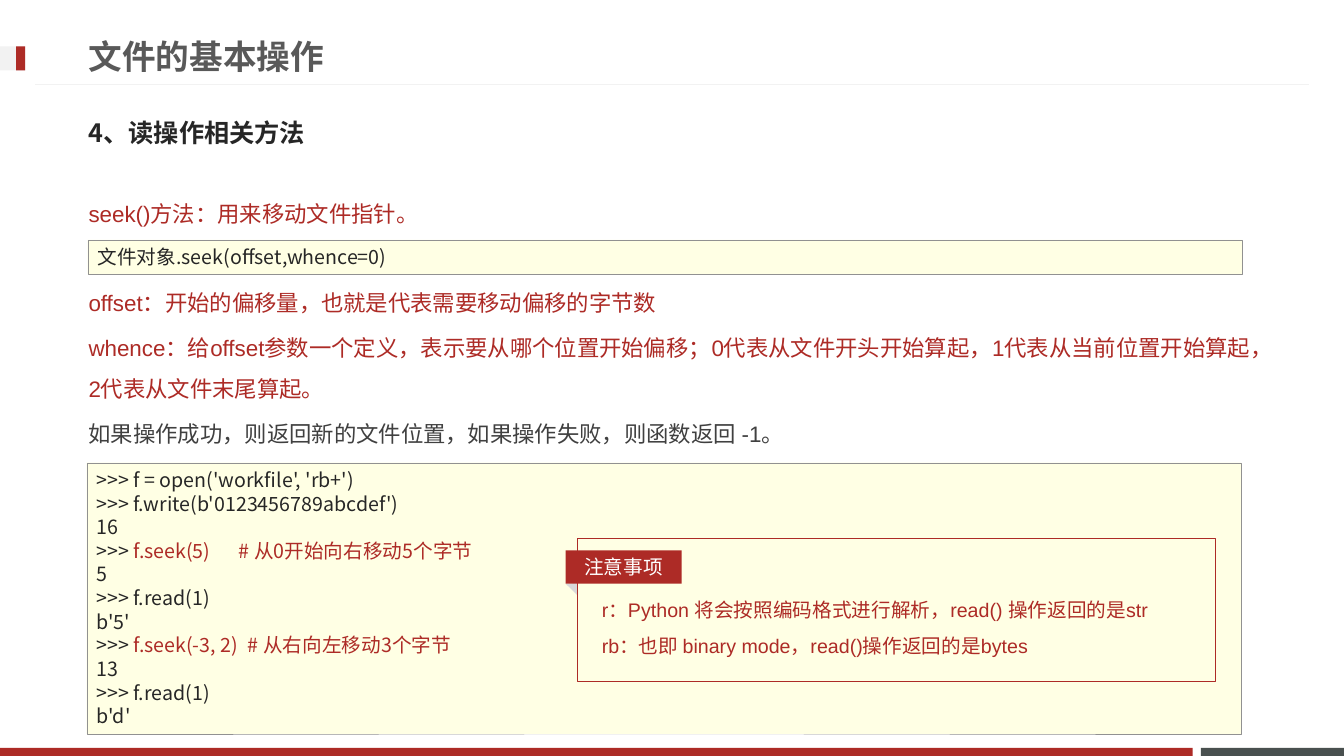
from lxml import etree
from pptx import Presentation, util as u
from pptx.dml.color import RGBColor
from pptx.enum import shapes, text
from pptx.oxml.ns import qn

# Content: a paragraph is a list of (text, colour) runs
TITLE = "文件的基本操作"
HEADING = "4、读操作相关方法"
BODY = [
    [("seek()方法：用来移动文件指针。", "red")],
    [("offset：开始的偏移量，也就是代表需要移动偏移的字节数", "red")],
    [("whence：给offset参数一个定义，表示要从哪个位置开始偏移；0代表从文件开头开始算起，"
      "1代表从当前位置开始算起，2代表从文件末尾算起。", "red")],
    [("如果操作成功，则返回新的文件位置，如果操作失败，则函数返回 -1。", "grey")],
]
SYNTAX = [[("文件对象.seek(offset,whence=0)", "dark")]]
SESSION = [
    [(">>> f = open('workfile', 'rb+')", "dark")],
    [(">>> f.write(b'0123456789abcdef')", "dark")],
    [("16", "dark")],
    [(">>> ", "dark"), ("f.seek(5)\t# 从0开始向右移动5个字节", "red")],
    [("5", "dark")],
    [(">>> f.read(1)", "dark")],
    [("b'5'", "dark")],
    [(">>> ", "dark"), ("f.seek(-3, 2)\t# 从右向左移动3个字节", "red")],
    [("13", "dark")],
    [(">>> f.read(1)", "dark")],
    [("b'd'", "dark")],
]
COMMENT_STOPS = {3: 1.41, 7: 1.5}  # paragraph: tab position of its comment
NOTE_LABEL = "注意事项"
NOTES = [
    [("r：Python 将会按照编码格式进行解析，read() 操作返回的是str", "red")],
    [("rb：也即 binary mode，read()操作返回的是bytes", "red")],
]

THEME = {
    "colors": {"red": "AD2B26", "slate": "49504F", "pale": "F2F2F2", "title": "595959",
               "dark": "262626", "grey": "404040", "code": "FFFFE4", "edge": "919191",
               "fold": "D9D9D9", "white": "FFFFFF"},
    "sans": "Arial", "cjk": "Noto Sans CJK JP",
    "title": 24, "heading": 18, "body": 16, "small": 14,
}
CODE_PITCH = u.Pt(16.9)
RECT = shapes.MSO_SHAPE.RECTANGLE

prs = Presentation()
prs.slide_width, prs.slide_height = u.Inches(13.33), u.Inches(7.5)
s = prs.slides.add_slide(prs.slide_layouts[5])


def rgb(name):
    return RGBColor.from_string(THEME["colors"][name])


def put(obj, **values):
    for name, value in values.items():
        setattr(obj, name, value)


def add_box(at, fill=None, line=None, width=0.75, kind=RECT):
    sp = s.shapes.add_shape(kind, *map(u.Inches, at))
    sp.shadow.inherit = False
    if fill:
        sp.fill.solid()
        sp.fill.fore_color.rgb = rgb(fill)
    else:
        sp.fill.background()
    if line:
        sp.line.color.rgb = rgb(line)
        sp.line.width = u.Pt(width)
    else:
        sp.line.fill.background()
    return sp


def write(sp, paragraphs, size, font="sans", bold=False, anchor="TOP", **para):
    tf = sp.text_frame
    put(tf, word_wrap=True, auto_size=text.MSO_AUTO_SIZE.NONE,
        vertical_anchor=text.MSO_ANCHOR[anchor])
    style = {"alignment": text.PP_ALIGN.LEFT, **para}
    for i, runs in enumerate(paragraphs):
        p = tf.paragraphs[0] if i == 0 else tf.add_paragraph()
        put(p, **style)
        for words, color in runs:
            r = p.add_run()
            r.text = words
            put(r.font, size=u.Pt(THEME[size]), bold=bold, name=THEME[font])
            r.font.color.rgb = rgb(color)
            ea = etree.SubElement(r.font._element, qn("a:ea"))
            ea.set("typeface", THEME["cjk"])
    return tf


def add_text(at, *args, **kwargs):
    return write(s.shapes.add_textbox(*map(u.Inches, at)), *args, **kwargs)


# Footer bars, header rule and marker
add_box((11.91, 7.42, 1.42, 0.08), "slate")
add_box((0, 7.42, 11.83, 0.08), "red")
rule = s.shapes.add_connector(shapes.MSO_CONNECTOR.STRAIGHT,
                              *map(u.Inches, (12.98, 0.84, 0.35, 0.84)))
rule.line.color.rgb = rgb("pale")
rule.line.width = u.Pt(0.75)
etree.SubElement(rule._element.spPr, qn("a:effectLst"))
add_box((0, 0.46, 0.25, 0.24), "pale")
add_box((0.16, 0.46, 0.09, 0.24), "red")

# Title, heading and explanation
title = s.shapes.title
put(title, left=u.Inches(0.78), top=u.Inches(0.27),
    width=u.Inches(9.59), height=u.Inches(0.57))
write(title, [[(TITLE, "title")]], "title", bold=True, anchor="MIDDLE")
add_text((0.78, 1.03, 11.76, 0.57), [[(HEADING, "dark")]], "heading",
         font="cjk", bold=True, anchor="MIDDLE")
body = add_text((0.78, 1.8, 11.76, 4.61), BODY, "body",
                line_spacing=1.5, space_before=u.Pt(3.6))
body.paragraphs[1].space_before = u.Pt(35)  # room for the syntax box

# Code boxes
write(add_box((0.87, 2.38, 11.45, 0.34), "code", "edge", 0.25), SYNTAX, "small",
      font="cjk", line_spacing=CODE_PITCH)
session = write(add_box((0.86, 4.59, 11.45, 2.69), "code", "edge", 0.25), SESSION,
                "small", font="cjk", line_spacing=CODE_PITCH)
for index, stop in COMMENT_STOPS.items():
    pPr = session.paragraphs[index]._p.get_or_add_pPr()
    tabs = etree.SubElement(pPr, qn("a:tabLst"))
    etree.SubElement(tabs, qn("a:tab"), pos=str(u.Inches(stop)), algn="l")

# Note with folded label
fold = add_box((5.62, 5.77, 0.16, 0.09), "fold", kind=shapes.MSO_SHAPE.ISOSCELES_TRIANGLE)
fold.rotation = 44.2
add_text((5.87, 5.77, 6.01, 0.81), NOTES, "small", line_spacing=1.5)
add_box((5.73, 5.34, 6.33, 1.42), line="red")
write(add_box((5.61, 5.46, 1.15, 0.33), "red"), [[(NOTE_LABEL, "white")]], "small",
      anchor="MIDDLE", alignment=text.PP_ALIGN.CENTER)

prs.save("out.pptx")
